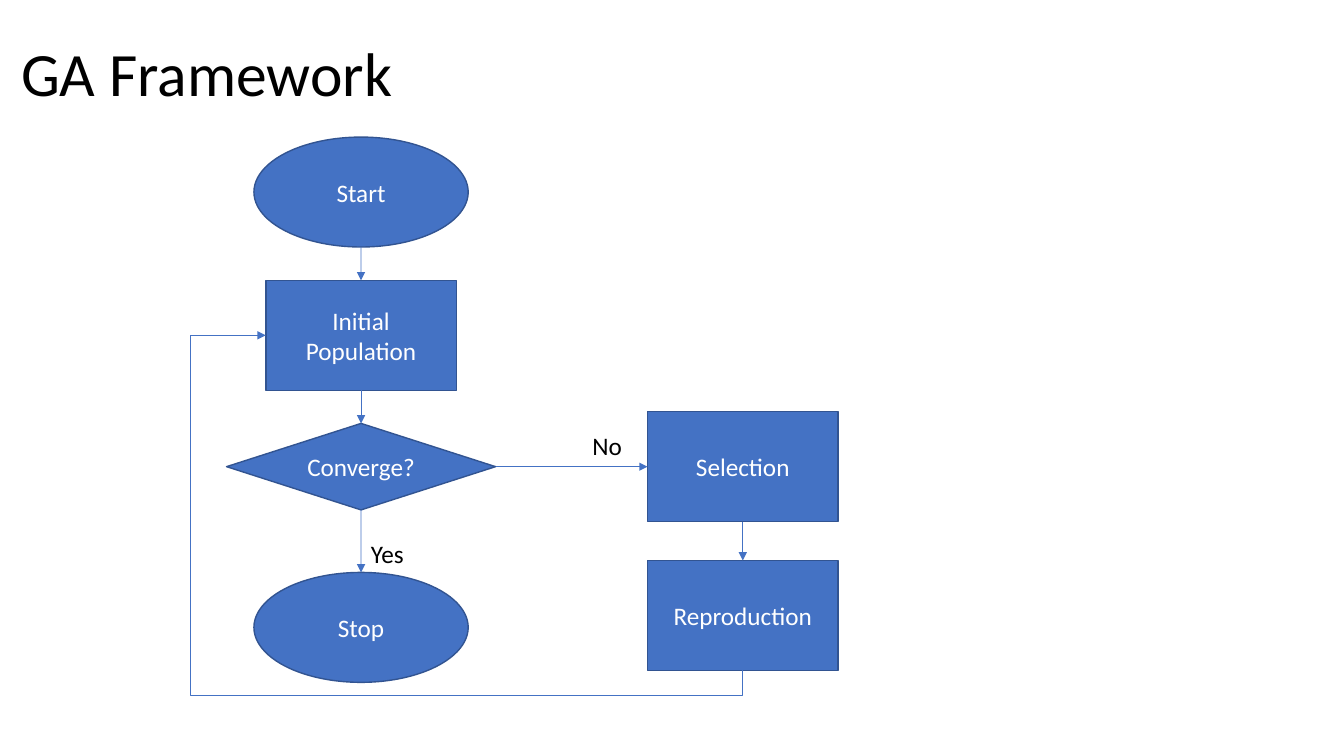
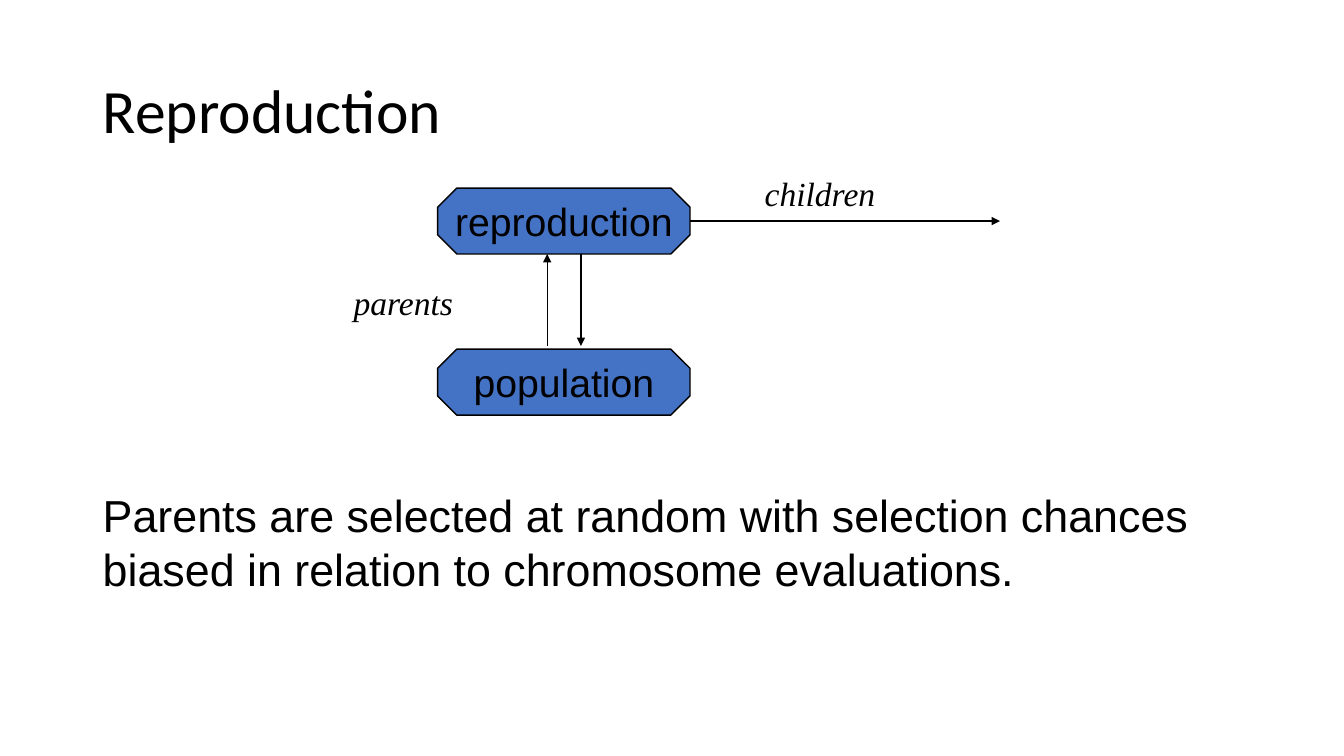
from dataclasses import dataclass
from typing import Any, Optional

from lxml import etree
from pptx import Presentation
from pptx import slide as slides
from pptx import util as u
from pptx.dml.color import RGBColor
from pptx.enum import shapes, text
from pptx.oxml import ns
from pptx.shapes import autoshape, connector

TOP, LEFT, BOTTOM, RIGHT = range(4)
KIND = shapes.MSO_SHAPE
TITLE_ONLY = 5


@dataclass(frozen=True)
class Theme:
    blue: RGBColor = RGBColor(0x44, 0x72, 0xC4)
    navy: RGBColor = RGBColor(0x32, 0x54, 0x91)
    black: RGBColor = RGBColor(0, 0, 0)
    white: RGBColor = RGBColor(0xFF, 0xFF, 0xFF)
    title_size: float = 44
    body_size: float = 32
    stage_size: float = 28
    note_size: float = 24
    flow_size: float = 18
    outline: float = 1
    thin: float = 0.5


THEME = Theme()


@dataclass(frozen=True)
class TextStyle:
    name: str
    size: float
    color: RGBColor = THEME.black
    italic: bool = False


@dataclass(frozen=True)
class BoxStyle:
    font: TextStyle
    outline: RGBColor
    wrap: bool = True


@dataclass(frozen=True)
class Node:
    """A shape given by its centre and size in centimetres."""
    label: str
    kind: Any
    x: float
    y: float
    width: float
    height: float

    def side(self, site: int) -> tuple[float, float]:
        dx, dy = ((0, -1), (-1, 0), (0, 1), (1, 0))[site]
        return self.x + dx * self.width / 2, self.y + dy * self.height / 2


@dataclass(frozen=True)
class Label:
    words: str
    left: float
    top: float
    width: float
    height: float


@dataclass(frozen=True)
class Link:
    start: str
    start_side: int
    end: str
    end_side: int


TITLE_TEXT = TextStyle("Calibri", THEME.title_size)
FLOW_TEXT = TextStyle("Calibri", THEME.flow_size)
NOTE_TEXT = TextStyle("Times New Roman", THEME.note_size, italic=True)
BODY_TEXT = TextStyle("Arial", THEME.body_size)
FLOW_BOX = BoxStyle(TextStyle("Calibri", THEME.flow_size, THEME.white), THEME.navy)
STAGE_BOX = BoxStyle(TextStyle("Arial", THEME.stage_size), THEME.black, wrap=False)

MAIN_X, SIDE_X = 9.1, 18.72
ELLIPSE, BLOCK, DECISION = (5.4, 2.77), (4.8, 2.77), (6.78, 2.18)
FLOW_NODES = (
    Node("Start", KIND.OVAL, MAIN_X, 4.84, *ELLIPSE),
    Node("Initial Population", KIND.RECTANGLE, MAIN_X, 8.45, *BLOCK),
    Node("Converge?", KIND.FLOWCHART_DECISION, MAIN_X, 11.76, *DECISION),
    Node("Stop", KIND.OVAL, MAIN_X, 15.81, *ELLIPSE),
    Node("Selection", KIND.RECTANGLE, SIDE_X, 11.76, *BLOCK),
    Node("Reproduction", KIND.RECTANGLE, SIDE_X, 15.51, *BLOCK),
)
FLOW_LINKS = (
    Link("Start", BOTTOM, "Initial Population", TOP),
    Link("Initial Population", BOTTOM, "Converge?", TOP),
    Link("Converge?", BOTTOM, "Stop", TOP),
    Link("Converge?", RIGHT, "Selection", LEFT),
    Link("Selection", BOTTOM, "Reproduction", TOP),
)
FLOW_LABELS = (Label("No", 14.68, 10.72, 1.27, 1.02),
               Label("Yes", 9.1, 13.44, 1.35, 1.02))
LOOP_LEFT, LOOP_BOTTOM = 4.8, 17.53

STAGE_X, STAGE = 14.21, (6.36, 1.66)
STAGES = (
    Node("reproduction", KIND.OCTAGON, STAGE_X, 5.57, *STAGE),
    Node("population", KIND.OCTAGON, STAGE_X, 9.63, *STAGE),
)
STAGE_ARROWS = (
    ((17.4, 5.57), (25.2, 5.57)),
    ((13.79, 8.72), (13.79, 6.4)),
    ((14.64, 6.4), (14.64, 8.72)),
)
STAGE_LABELS = (Label("parents", 8.66, 6.99, 3.05, 1.27),
                Label("children", 19.02, 4.24, 3.33, 1.27))
SELECTION_NOTE = Label(
    "Parents are selected at random with selection chances biased in relation "
    "to chromosome evaluations.", 2.34, 12.17, 29.77, 3)


def write(frame: Any, words: str, style: TextStyle, align: Any = None,
          spacing: Optional[float] = None) -> None:
    para = frame.paragraphs[0]
    para.alignment, para.line_spacing = align, spacing
    span = para.add_run()
    span.text = words
    formats = {"name": style.name, "size": u.Pt(style.size), "italic": style.italic}
    for attribute, value in formats.items():
        setattr(span.font, attribute, value)
    span.font.color.rgb = style.color


def add_page(deck: Any, title: str, left: float, top: float) -> slides.Slide:
    page = deck.slides.add_slide(deck.slide_layouts[TITLE_ONLY])
    box = page.shapes.title
    place = {"left": left, "top": top, "width": 29.21, "height": 3.68}
    for attribute, value in place.items():
        setattr(box, attribute, u.Cm(value))
    box.text_frame.vertical_anchor = text.MSO_ANCHOR.MIDDLE
    write(box.text_frame, title, TITLE_TEXT, text.PP_ALIGN.LEFT, 0.9)
    return page


def add_node(page: slides.Slide, node: Node, style: BoxStyle) -> autoshape.Shape:
    left, top = node.x - node.width / 2, node.y - node.height / 2
    box = page.shapes.add_shape(node.kind, u.Cm(left), u.Cm(top),
                                u.Cm(node.width), u.Cm(node.height))
    box.shadow.inherit = False
    box.fill.solid()
    box.fill.fore_color.rgb = THEME.blue
    box.line.color.rgb = style.outline
    box.line.width = u.Pt(THEME.outline)
    box.text_frame.word_wrap = style.wrap
    box.text_frame.vertical_anchor = text.MSO_ANCHOR.MIDDLE
    write(box.text_frame, node.label, style.font, text.PP_ALIGN.CENTER)
    return box


def add_label(page: slides.Slide, label: Label, style: TextStyle,
              wrap: bool = False) -> None:
    box = page.shapes.add_textbox(u.Cm(label.left), u.Cm(label.top),
                                  u.Cm(label.width), u.Cm(label.height))
    box.text_frame.word_wrap = wrap
    box.text_frame.auto_size = text.MSO_AUTO_SIZE.SHAPE_TO_FIT_TEXT
    write(box.text_frame, label.words, style)


def add_arrow(page: slides.Slide, start: tuple[float, float], end: tuple[float, float],
              color: RGBColor, width: float,
              kind: Any = shapes.MSO_CONNECTOR.STRAIGHT) -> connector.Connector:
    arrow = page.shapes.add_connector(kind, *(u.Cm(value) for value in (*start, *end)))
    arrow.line.color.rgb = color
    arrow.line.width = u.Pt(width)
    tip = etree.SubElement(arrow.line._get_or_add_ln(), ns.qn("a:tailEnd"))
    tip.set("type", "triangle")
    etree.SubElement(arrow._element.spPr, ns.qn("a:effectLst"))
    return arrow


def add_loop(page: slides.Slide, source: Node, target: Node,
             boxes: dict[str, autoshape.Shape]) -> None:
    """Lead from the source's bottom, under the chart, to the target's left side."""
    (start_x, start_y), (end_x, end_y) = source.side(BOTTOM), target.side(LEFT)
    loop = add_arrow(page, (start_x, start_y), (end_x, end_y), THEME.blue,
                     THEME.thin, shapes.MSO_CONNECTOR.ELBOW)
    loop.begin_connect(boxes[source.label], BOTTOM)
    loop.end_connect(boxes[target.label], LEFT)
    across, rise = start_x - end_x, start_y - end_y
    # The frame is stored before its quarter turn, so its sides are swapped.
    place = {"left": (start_x + end_x - rise) / 2, "top": (start_y + end_y - across) / 2,
             "width": rise, "height": across}
    for attribute, value in place.items():
        setattr(loop, attribute, u.Cm(value))
    properties = loop._element.spPr
    frame = properties.find(ns.qn("a:xfrm"))
    for attribute, value in {"rot": "5400000", "flipH": "1", "flipV": "0"}.items():
        frame.set(attribute, value)
    geometry = properties.find(ns.qn("a:prstGeom"))
    geometry.set("prst", "bentConnector4")
    guides = geometry.find(ns.qn("a:avLst"))
    if guides is None:
        guides = etree.SubElement(geometry, ns.qn("a:avLst"))
    bends = {"adj1": (start_y - LOOP_BOTTOM) / rise, "adj2": (start_x - LOOP_LEFT) / across}
    for name, share in bends.items():
        guide = etree.SubElement(guides, ns.qn("a:gd"))
        guide.set("name", name)
        guide.set("fmla", f"val {round(share * 100000)}")


def build_framework(deck: Any) -> None:
    page = add_page(deck, "GA Framework", 0.28, 0.1)
    nodes = {node.label: node for node in FLOW_NODES}
    boxes = {node.label: add_node(page, node, FLOW_BOX) for node in FLOW_NODES}
    for link in FLOW_LINKS:
        start, end = nodes[link.start], nodes[link.end]
        arrow = add_arrow(page, start.side(link.start_side), end.side(link.end_side),
                          THEME.blue, THEME.thin)
        # Ovals number their sides differently; only their top matches.
        if start.kind != KIND.OVAL:
            arrow.begin_connect(boxes[link.start], link.start_side)
        arrow.end_connect(boxes[link.end], link.end_side)
    add_loop(page, nodes["Reproduction"], nodes["Initial Population"], boxes)
    for label in FLOW_LABELS:
        add_label(page, label, FLOW_TEXT)


def build_reproduction(deck: Any) -> None:
    page = add_page(deck, "Reproduction", 2.34, 1.02)
    for stage in STAGES:
        add_node(page, stage, STAGE_BOX).adjustments[0] = 0.29
    for start, end in STAGE_ARROWS:
        add_arrow(page, start, end, THEME.black, THEME.outline)
    for label in STAGE_LABELS:
        add_label(page, label, NOTE_TEXT)
    add_label(page, SELECTION_NOTE, BODY_TEXT, wrap=True)


def main() -> None:
    deck = Presentation()
    deck.slide_width, deck.slide_height = u.Cm(33.87), u.Cm(19.05)
    build_framework(deck)
    build_reproduction(deck)
    deck.save("out.pptx")


if __name__ == "__main__":
    main()
